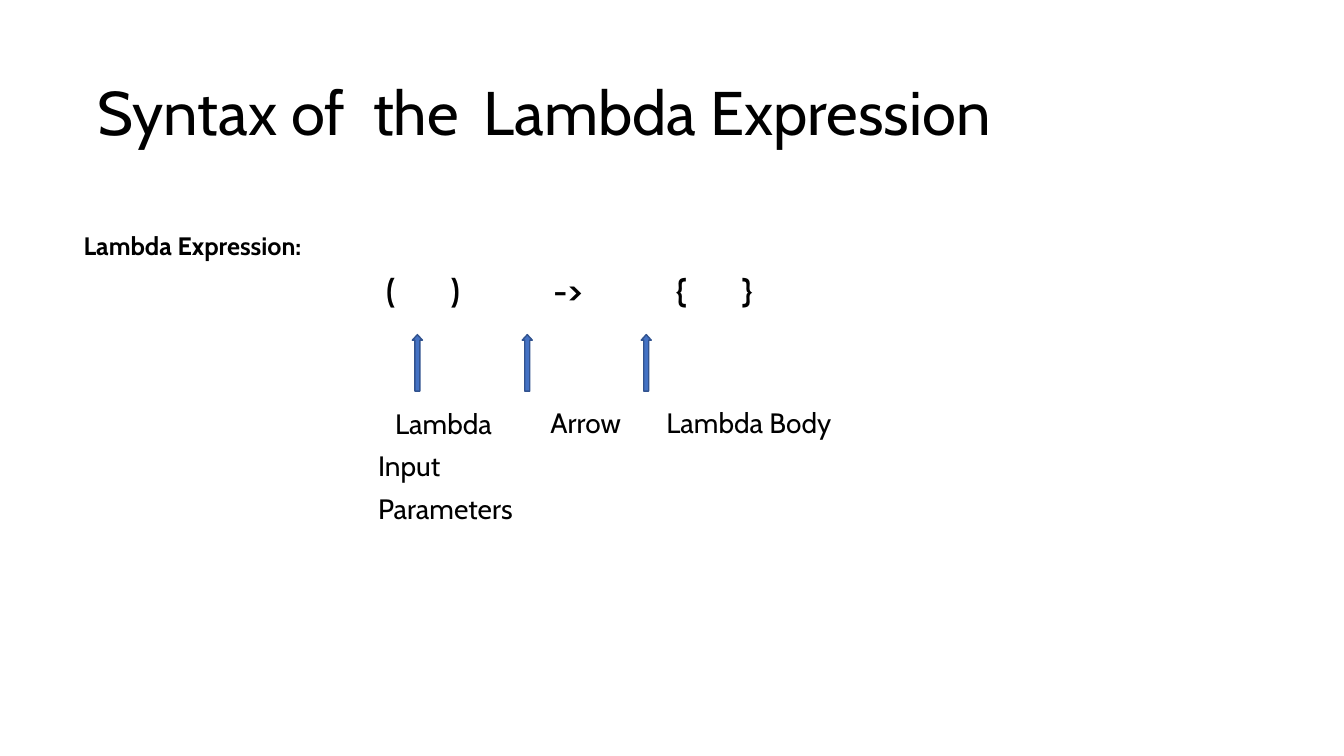
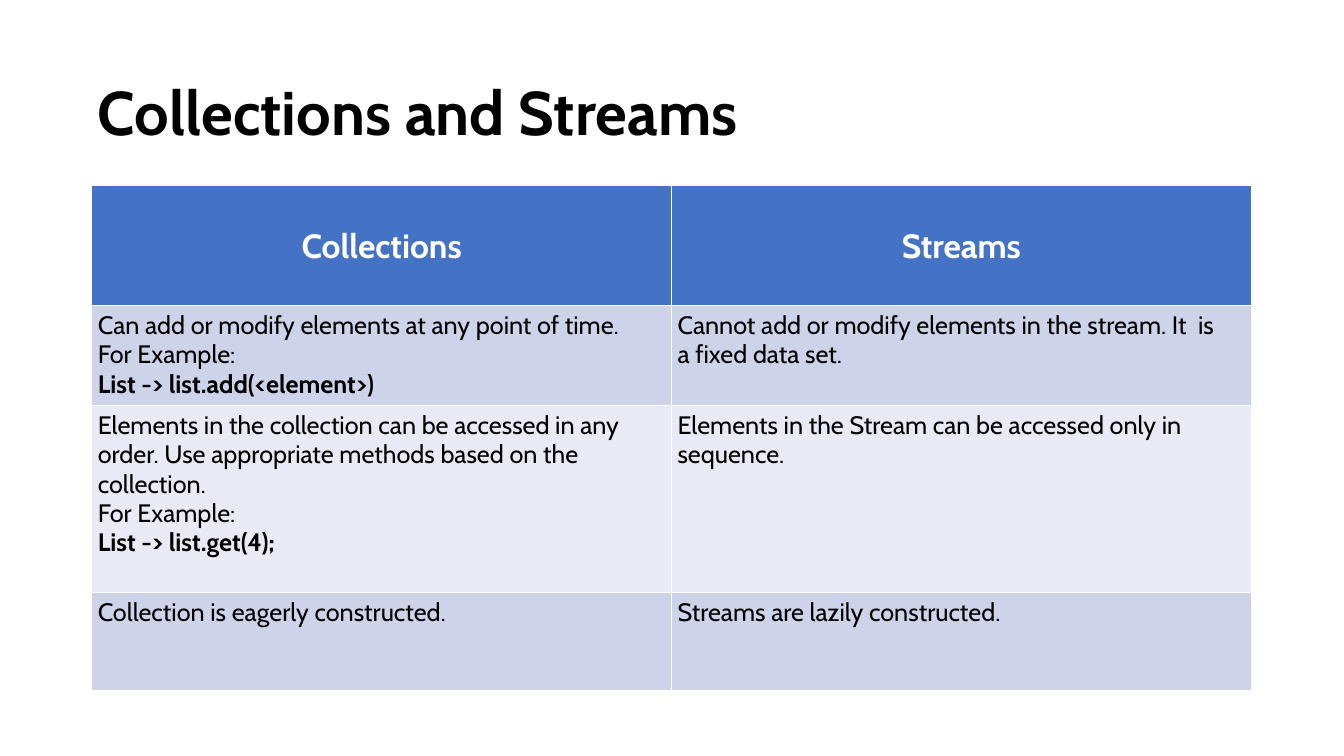
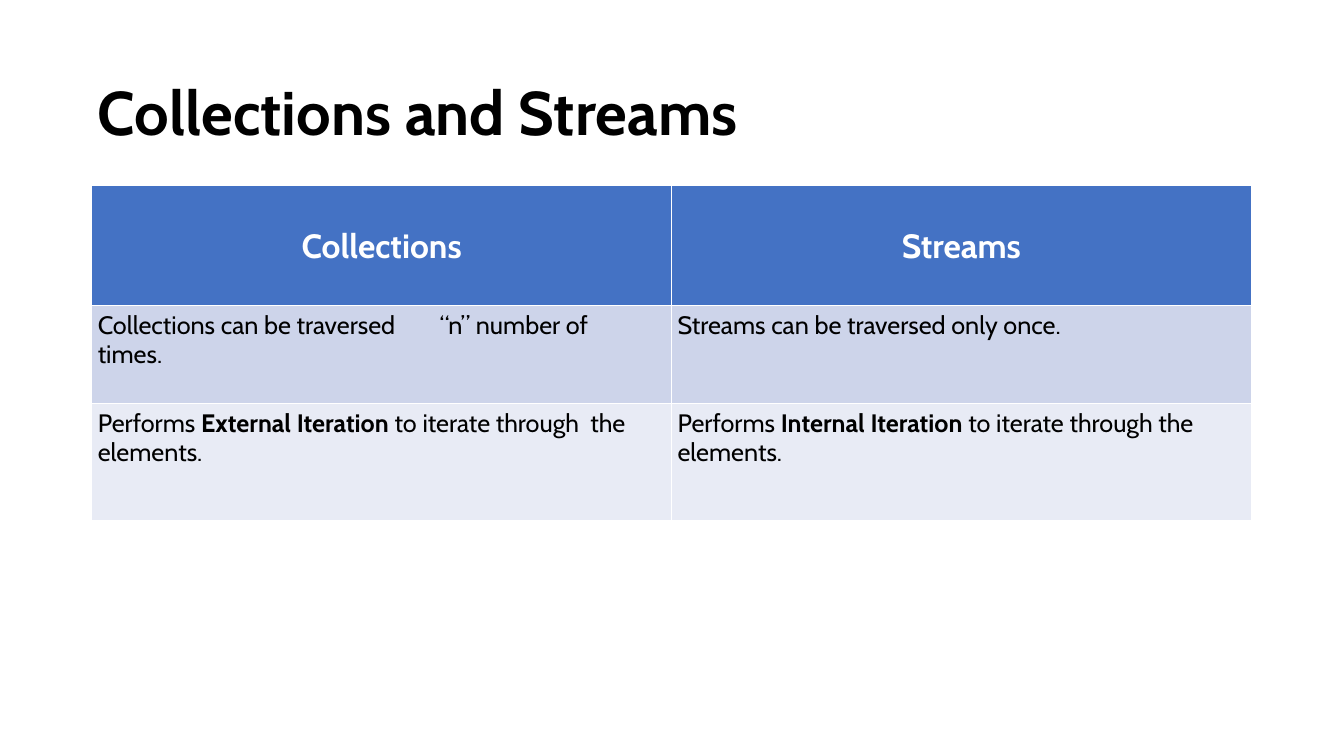
from lxml.etree import SubElement
from pptx import Presentation
from pptx.dml.color import RGBColor
from pptx.enum.shapes import MSO_SHAPE as SHAPE
from pptx.enum.text import MSO_ANCHOR as ANCHOR, MSO_AUTO_SIZE as AUTO_SIZE, PP_ALIGN as ALIGN
from pptx.oxml.ns import qn
from pptx.util import Pt

PX = 9144  # 100 px to the inch
FONT = "Cabin"
BLACK = RGBColor(0x00, 0x00, 0x00)
WHITE = RGBColor(0xFF, 0xFF, 0xFF)
BLUE = RGBColor(0x44, 0x72, 0xC4)
DARK_BLUE = RGBColor(0x32, 0x53, 0x8F)
BANDS = (RGBColor(0xCD, 0xD4, 0xEA), RGBColor(0xE8, 0xEB, 0xF5))

SYNTAX_TITLE = "Syntax of\tthe\tLambda Expression"
SYNTAX_TABS = (273, 383)
# text, (left, top, width, height), size, bold, tab stops
SYNTAX_LABELS = [
    ("Lambda Expression:", (82, 228, 236, 33), 18, True, ()),
    ("(\t)\t->", (382, 267, 200, 43), 24, True, (64, 166)),
    ("{\t}", (669, 267, 82, 43), 24, True, (66,)),
    ("Arrow", (545, 401, 76, 36), 20, False, ()),
    ("Lambda Body", (660, 401, 168, 36), 20, False, ()),
]
PARAMETERS = "Lambda\vInput\vParameters"
PARAMETERS_BOX = (374, 393, 143, 129)
ARROW_LEFTS = (409, 518, 636)
ARROW_TOP, ARROW_WIDTH, ARROW_HEIGHT = 332, 10, 56

COMPARE_TITLE = "Collections and Streams"
HEADINGS = ("Collections", "Streams")
HEADING_HEIGHT = 119
TABLE_LEFT, TABLE_TOP, COLUMN_WIDTH = 91, 184, 575
CELL_TABS = (339,)
# Each table row: height, then one list of paragraphs per column; ** marks bold
COMPARISONS = [
    [
        (99,
         ["Can add or modify elements at any point of time.", "For Example:",
          "**List -> list.add(<element>)**"],
         ["Cannot add or modify elements in the stream. It  is a fixed data set."]),
        (186,
         ["Elements in the collection can be accessed in any order. "
          "Use appropriate methods based on the collection.", "For Example:",
          "**List -> list.get(4);**"],
         ["Elements in the Stream can be accessed only in sequence."]),
        (97, ["Collection is eagerly constructed."], ["Streams are lazily constructed."]),
    ],
    [
        (97, ["Collections can be traversed\t“n” number of times."],
         ["Streams can be traversed only once."]),
        (117, ["Performs **External Iteration** to iterate through  the elements."],
         ["Performs **Internal Iteration** to iterate through the elements."]),
    ],
]


def scaled(*lengths):
    return [length * PX for length in lengths]


def set_tabs(paragraph, positions):
    if positions:
        tab_list = SubElement(paragraph._p.get_or_add_pPr(), qn("a:tabLst"))
        for position in positions:
            SubElement(tab_list, qn("a:tab"), pos=str(position * PX), algn="l")


def set_font(paragraph, size, bold=False, color=BLACK):
    font = paragraph.font
    font.name, font.size, font.bold = FONT, Pt(size), bold
    font.color.rgb = color


def fill_text(shape, text, size, bold=False, tabs=()):
    """Write one left-aligned paragraph into a box with almost no insets."""
    frame = shape.text_frame
    frame.word_wrap, frame.auto_size = True, AUTO_SIZE.NONE
    frame.vertical_anchor = ANCHOR.TOP
    frame.margin_left = frame.margin_top = PX
    frame.margin_right = frame.margin_bottom = 0
    paragraph = frame.paragraphs[0]
    paragraph.text = text
    paragraph.alignment, paragraph.space_before = ALIGN.LEFT, Pt(1)
    set_tabs(paragraph, tabs)
    set_font(paragraph, size, bold)
    return paragraph


def add_titled_slide(presentation, text, width, bold, tabs=()):
    slide = presentation.slides.add_slide(presentation.slide_layouts[5])
    title = slide.shapes.title
    title.left, title.top, title.width, title.height = scaled(96, 72, width, 76)
    fill_text(title, text, 44, bold, tabs)
    return slide


def add_label(slide, text, box, size, bold=False, tabs=()):
    return fill_text(slide.shapes.add_textbox(*scaled(*box)), text, size, bold, tabs)


def add_up_arrow(slide, left):
    arrow = slide.shapes.add_shape(
        SHAPE.UP_ARROW, *scaled(left, ARROW_TOP, ARROW_WIDTH, ARROW_HEIGHT))
    arrow.adjustments[0], arrow.adjustments[1] = 0.5, 0.55
    arrow.shadow.inherit = False
    arrow.fill.solid()
    arrow.fill.fore_color.rgb = BLUE
    arrow.line.color.rgb, arrow.line.width = DARK_BLUE, Pt(1)


def style_cell(cell, color):
    """Give the cell white borders and a plain fill."""
    properties = cell._tc.get_or_add_tcPr()
    for side in ("lnL", "lnR", "lnT", "lnB"):
        line = SubElement(properties, qn(f"a:{side}"), w=str(Pt(1)))
        solid = SubElement(line, qn("a:solidFill"))
        SubElement(solid, qn("a:srgbClr"), val=str(WHITE))
    cell.fill.solid()
    cell.fill.fore_color.rgb = color
    cell.margin_bottom = 0


def fill_heading(cell, text):
    style_cell(cell, BLUE)
    cell.margin_left = cell.margin_right = 0
    cell.margin_top = 3 * PX
    cell.vertical_anchor = ANCHOR.MIDDLE
    paragraph = cell.text_frame.paragraphs[0]
    paragraph.text, paragraph.alignment = text, ALIGN.CENTER
    set_font(paragraph, 24, True, WHITE)


def fill_body(cell, texts, color):
    style_cell(cell, color)
    cell.margin_left = cell.margin_top = 6 * PX
    cell.margin_right = 30 * PX
    frame = cell.text_frame
    for index, text in enumerate(texts):
        paragraph = frame.add_paragraph() if index else frame.paragraphs[0]
        paragraph.line_spacing = Pt(21)
        paragraph.space_before = Pt(0 if index else 4)
        if "\t" in text:
            set_tabs(paragraph, CELL_TABS)
        set_font(paragraph, 18)
        for part, piece in enumerate(text.split("**")):
            if piece:
                run = paragraph.add_run()
                run.text = piece
                if part % 2:
                    run.font.bold = True


def add_comparison(slide, rows):
    heights = [HEADING_HEIGHT] + [row[0] for row in rows]
    columns = len(HEADINGS)
    table = slide.shapes.add_table(
        len(heights), columns,
        *scaled(TABLE_LEFT, TABLE_TOP, COLUMN_WIDTH * columns, sum(heights))).table
    for row, height in zip(table.rows, heights):
        row.height = height * PX
    for column, heading in enumerate(HEADINGS):
        fill_heading(table.cell(0, column), heading)
    for index, (_, *cells) in enumerate(rows):
        for column, texts in enumerate(cells):
            fill_body(table.cell(index + 1, column), texts, BANDS[index % 2])


def main():
    presentation = Presentation()
    presentation.slide_width, presentation.slide_height = scaled(1333, 750)

    slide = add_titled_slide(presentation, SYNTAX_TITLE, 904, False, SYNTAX_TABS)
    for label in SYNTAX_LABELS:
        add_label(slide, *label)
    parameters = add_label(slide, PARAMETERS, PARAMETERS_BOX, 20)
    parameters.line_spacing = 1.27
    parameters._p.get_or_add_pPr().set("indent", str(17 * PX))
    for left in ARROW_LEFTS:
        add_up_arrow(slide, left)

    for rows in COMPARISONS:
        add_comparison(add_titled_slide(presentation, COMPARE_TITLE, 686, True), rows)

    presentation.save("out.pptx")


if __name__ == "__main__":
    main()
